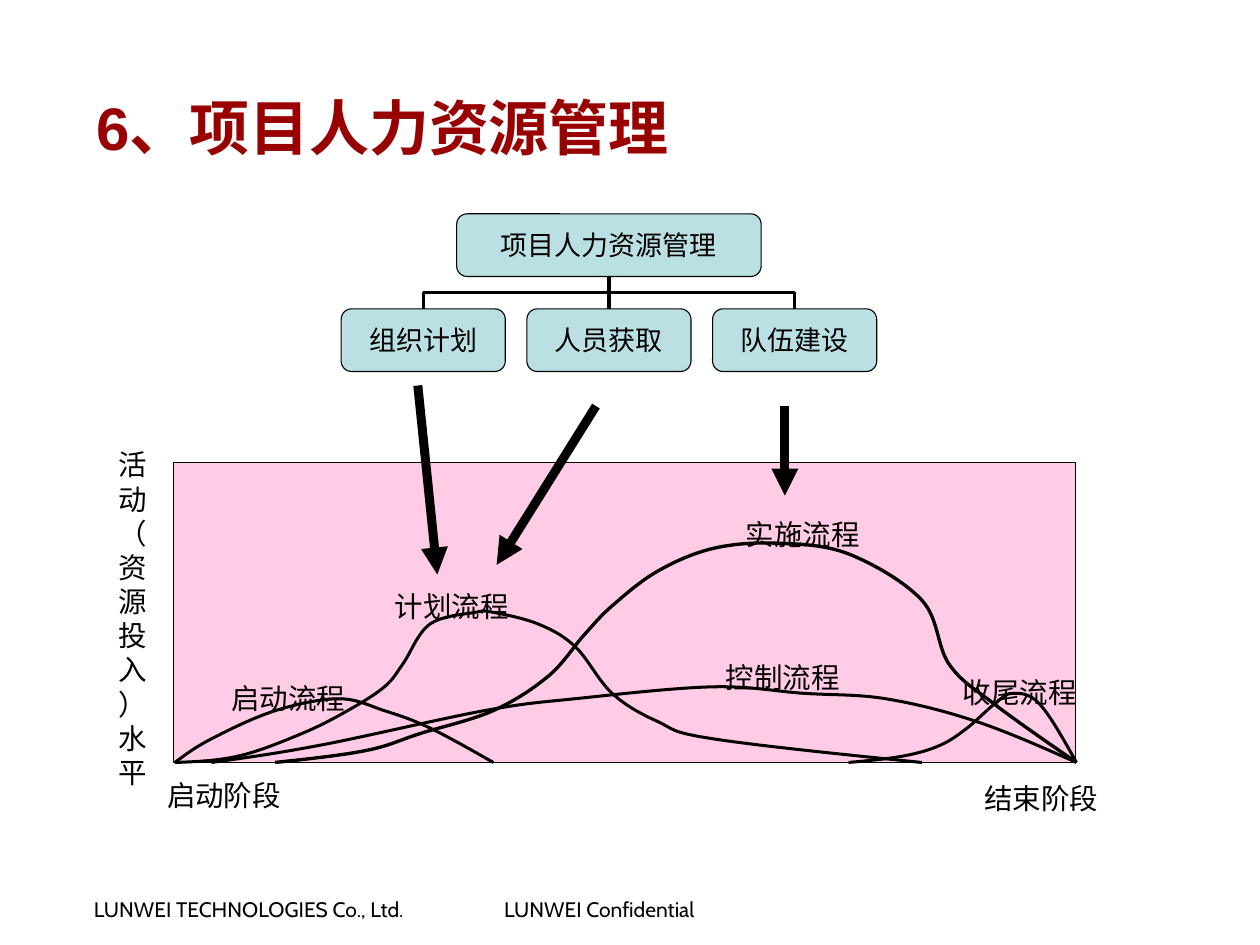
from dataclasses import dataclass

from lxml.etree import SubElement
from pptx import Presentation
from pptx.dml.color import RGBColor
from pptx.enum.shapes import MSO_CONNECTOR, MSO_SHAPE
from pptx.enum.text import MSO_ANCHOR, MSO_AUTO_SIZE, PP_ALIGN
from pptx.oxml.ns import qn
from pptx.util import Inches, Pt


@dataclass(frozen=True)
class Theme:
    ink: RGBColor = RGBColor(0x00, 0x00, 0x00)
    title: RGBColor = RGBColor(0x99, 0x00, 0x00)
    box: RGBColor = RGBColor(0xBB, 0xE0, 0xE3)
    plot: RGBColor = RGBColor(0xFF, 0x99, 0xCC)
    heading_font: str = "Arial"
    label_font: str = "DejaVu Sans"
    footer_font: str = "Cabin"
    title_size: float = 40
    box_size: float = 18
    label_size: float = 19
    footer_size: float = 14
    outline: float = 0.75
    curve: float = 2
    tree_line: float = 2.25
    arrow: float = 6


THEME = Theme()
BOX_HEIGHT = 0.58
TREE_CENTER, PARENT_TOP, CHILD_TOP = 5.64, 1.98, 2.86
CHILD_WIDTH, CHILD_PITCH = 1.52, 1.72
CHILDREN = ["组织计划", "人员获取", "队伍建设"]
FOOTERS = [
    ("LUNWEI TECHNOLOGIES Co., Ltd.", (0.77, 8.25, 3.38, 0.33)),
    ("LUNWEI Confidential", (4.57, 8.25, 2.27, 0.33)),
]
LABELS = [
    ("启动阶段", (1.43, 7.14, 1.29, 0.43)),
    ("启动流程", (1.7, 6.25, 1.94, 0.43)),
    ("计划流程", (3.17, 5.39, 2.03, 0.43)),
    ("实施流程", (6.38, 4.73, 2.11, 0.43)),
    ("控制流程", (6.11, 6.05, 2.28, 0.43)),
    ("收尾流程", (8.68, 6.19, 1.53, 0.43)),
    ("结束阶段", (8.9, 7.17, 1.49, 0.43)),
]
INITIATING = [(1.62, 7.06), (1.96, 6.84), (2.55, 6.58), (3.14, 6.47),
              (3.56, 6.58), (3.98, 6.74), (4.57, 7.06)]
PLANNING = [(1.62, 7.06), (2.21, 7), (2.8, 6.79), (3.22, 6.58), (3.56, 6.36),
            (3.73, 6.15), (3.98, 5.78), (4.4, 5.67), (4.57, 5.67), (4.99, 5.78),
            (5.33, 5.99), (5.67, 6.42), (6.09, 6.68), (6.6, 6.84), (8.54, 7.06)]
EXECUTING = [(2.55, 7.06), (3.39, 6.95), (3.9, 6.79), (4.57, 6.58), (5.08, 6.26),
             (5.41, 5.88), (5.67, 5.61), (6.09, 5.29), (6.6, 5.08), (7.19, 5.03),
             (7.86, 5.13), (8.54, 5.56), (8.79, 6.15), (9.21, 6.52), (9.97, 7.06)]
CONTROLLING = [(1.96, 7.06), (2.97, 6.9), (4.49, 6.58), (5.33, 6.47), (6.6, 6.36),
               (7.44, 6.42), (8.2, 6.47), (9.04, 6.68), (9.97, 7.06)]
CLOSING = [(7.86, 7.06), (8.37, 7), (8.71, 6.9), (8.96, 6.74), (9.21, 6.52),
           (9.38, 6.42), (9.63, 6.52), (9.97, 7.06)]
CURVES = [(INITIATING, THEME.curve), (PLANNING, THEME.curve),
          (EXECUTING, THEME.tree_line), (CONTROLLING, THEME.curve),
          (CLOSING, THEME.curve)]
ARROWS = [((3.87, 3.57), (4.05, 5.32)), ((5.52, 3.76), (4.6, 5.23)),
          ((7.27, 3.76), (7.27, 4.59))]


def inches(values):
    return [Inches(value) for value in values]


def write_text(shape, text, *, font, size, color=THEME.ink, bold=False,
               align=PP_ALIGN.CENTER, anchor=MSO_ANCHOR.TOP, wrap=False,
               space_before=0, margins=(0.1, 0.05)):
    frame = shape.text_frame
    frame.auto_size = MSO_AUTO_SIZE.NONE
    frame.word_wrap = wrap
    frame.vertical_anchor = anchor
    frame.margin_left = frame.margin_right = Inches(margins[0])
    frame.margin_top = frame.margin_bottom = Inches(margins[1])
    paragraph = frame.paragraphs[0]
    paragraph.alignment = align
    paragraph.space_before = Pt(space_before)
    run = paragraph.add_run()
    run.text = text
    run.font.name = font
    run.font.size = Pt(size)
    run.font.bold = bold
    run.font.color.rgb = color


def add_text(slide, text, area, **text_format):
    write_text(slide.shapes.add_textbox(*inches(area)), text, **text_format)


def add_label(slide, text, area, **text_format):
    add_text(slide, text, area, font=THEME.label_font, size=THEME.label_size,
             space_before=4.8, **{"margins": (0.12, 0.06), **text_format})


def add_panel(slide, kind, area, color):
    shape = slide.shapes.add_shape(kind, *inches(area))
    shape.shadow.inherit = False
    shape.fill.solid()
    shape.fill.fore_color.rgb = color
    shape.line.color.rgb = THEME.ink
    shape.line.width = Pt(THEME.outline)
    return shape


def add_box(slide, text, center, top, width):
    area = (center - width / 2, top, width, BOX_HEIGHT)
    shape = add_panel(slide, MSO_SHAPE.ROUNDED_RECTANGLE, area, THEME.box)
    write_text(shape, text, font=THEME.heading_font, size=THEME.box_size,
               anchor=MSO_ANCHOR.MIDDLE, space_before=4.5, margins=(0.06, 0.03))


def add_line(slide, start, end, width, kind=MSO_CONNECTOR.STRAIGHT):
    connector = slide.shapes.add_connector(kind, *inches((*start, *end)))
    connector.line.color.rgb = THEME.ink
    connector.line.width = Pt(width)
    SubElement(connector.element.spPr, qn("a:effectLst"))
    return connector


def add_branch(slide, child_center):
    parent_bottom = PARENT_TOP + BOX_HEIGHT
    if child_center == TREE_CENTER:
        add_line(slide, (TREE_CENTER, parent_bottom), (TREE_CENTER, CHILD_TOP),
                 THEME.tree_line)
        return
    middle_x = (TREE_CENTER + child_center) / 2
    middle_y = (parent_bottom + CHILD_TOP) / 2
    half_drop = (CHILD_TOP - parent_bottom) / 2
    half_span = (TREE_CENTER - child_center) / 2
    connector = add_line(slide, (middle_x - half_drop, middle_y - half_span),
                         (middle_x + half_drop, middle_y + half_span),
                         THEME.tree_line, MSO_CONNECTOR.ELBOW)
    connector.element.spPr.find(qn("a:xfrm")).set("rot", str(90 * 60000))


def add_arrow(slide, start, end):
    connector = add_line(slide, start, end, THEME.arrow)
    SubElement(connector.line._get_or_add_ln(), qn("a:tailEnd"), type="triangle")


def midpoint(first, second):
    return tuple((a + b) / 2 for a, b in zip(first, second))


def bezier_segments(knots):
    slopes = [tuple((b - a) / 6 for a, b in zip(before, after))
              for before, after in zip(knots, knots[2:])]
    last = len(knots) - 1
    for index in range(last):
        start, end = knots[index], knots[index + 1]
        if index > 0:
            leaving = tuple(a + b for a, b in zip(start, slopes[index - 1]))
        if index < last - 1:
            arriving = tuple(a - b for a, b in zip(end, slopes[index]))
        else:
            arriving = midpoint(leaving, end)
        if index == 0:
            leaving = midpoint(start, arriving)
        yield leaving, arriving, end


def add_curve(slide, points, width):
    knots = [inches(point) for point in points]
    builder = slide.shapes.build_freeform(*knots[0])
    builder.add_line_segments(knots[1:], close=False)
    shape = builder.convert_to_shape()
    shape.shadow.inherit = False
    shape.fill.background()
    shape.line.color.rgb = THEME.ink
    shape.line.width = Pt(width)
    outline = next(shape.element.iter(qn("a:path")))
    local_knots = [(int(point.get("x")), int(point.get("y")))
                   for point in outline.iter(qn("a:pt"))]
    for line in outline.findall(qn("a:lnTo")):
        outline.remove(line)
    for segment in bezier_segments(local_knots):
        curve = SubElement(outline, qn("a:cubicBezTo"))
        for x, y in segment:
            SubElement(curve, qn("a:pt"), x=str(round(x)), y=str(round(y)))


def add_title(slide, text):
    title = slide.shapes.title
    title.left, title.top, title.width, title.height = inches((0.79, 0.44, 10.29, 1.46))
    write_text(title, text, font=THEME.heading_font, size=THEME.title_size,
               color=THEME.title, bold=True, align=PP_ALIGN.LEFT,
               anchor=MSO_ANCHOR.MIDDLE, wrap=True)


def add_tree(slide):
    centers = [TREE_CENTER + (index - 1) * CHILD_PITCH for index in range(len(CHILDREN))]
    for center in centers:
        add_branch(slide, center)
    add_box(slide, "项目人力资源管理", TREE_CENTER, PARENT_TOP, 2.82)
    for text, center in zip(CHILDREN, centers):
        add_box(slide, text, center, CHILD_TOP, CHILD_WIDTH)


def add_plot(slide):
    plot = add_panel(slide, MSO_SHAPE.RECTANGLE, (1.61, 4.28, 8.35, 2.78), THEME.plot)
    fill_color = plot.element.spPr.find(qn("a:solidFill")).find(qn("a:srgbClr"))
    SubElement(fill_color, qn("a:alpha"), val="50000")
    for points, width in CURVES:
        add_curve(slide, points, width)
    for text, area in LABELS:
        add_label(slide, text, area)
    add_label(slide, "活动（资源投入）水平", (0.96, 4.08, 0.54, 3.29),
              anchor=MSO_ANCHOR.MIDDLE, wrap=True, margins=(0.11, 0.06))


def main():
    presentation = Presentation()
    presentation.slide_width, presentation.slide_height = inches((11.67, 8.75))
    slide = presentation.slides.add_slide(presentation.slide_layouts[5])
    for text, area in FOOTERS:
        add_text(slide, text, area, font=THEME.footer_font, size=THEME.footer_size,
                 align=PP_ALIGN.LEFT)
    add_title(slide, "6、项目人力资源管理")
    add_tree(slide)
    add_plot(slide)
    for start, end in ARROWS:
        add_arrow(slide, start, end)
    presentation.save("out.pptx")


if __name__ == "__main__":
    main()
